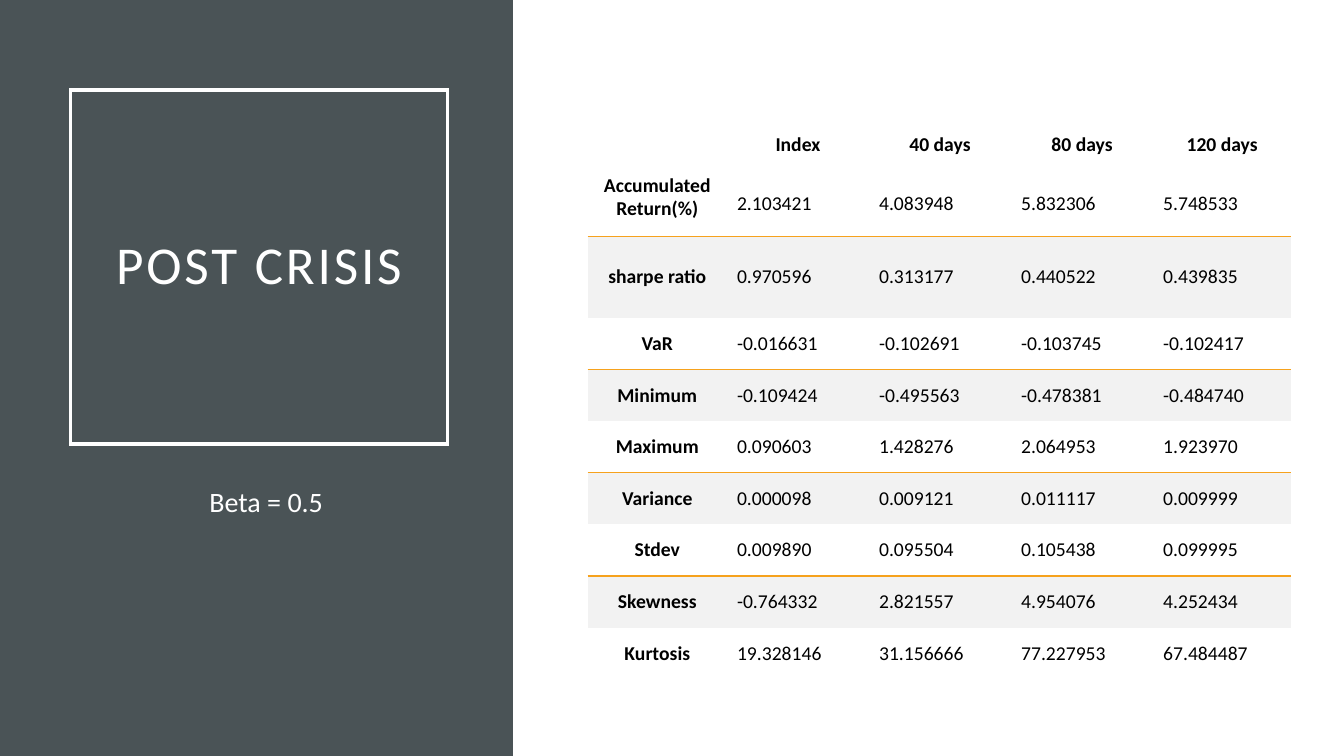
from lxml import etree
from pptx import Presentation
from pptx.dml.color import RGBColor
from pptx.enum.shapes import MSO_SHAPE
from pptx.enum.text import MSO_ANCHOR, MSO_AUTO_SIZE, PP_ALIGN
from pptx.oxml.ns import qn
from pptx.util import Cm, Pt

RECTANGLE = MSO_SHAPE.RECTANGLE
TOP, MIDDLE, BOTTOM = MSO_ANCHOR.TOP, MSO_ANCHOR.MIDDLE, MSO_ANCHOR.BOTTOM
LEFT, CENTER = PP_ALIGN.LEFT, PP_ALIGN.CENTER
NO_AUTOFIT = MSO_AUTO_SIZE.NONE

FONT = "Calibri"
COLORS = {
    "panel": "4A5356",
    "white": "FFFFFF",
    "text": "000000",
    "band": "F2F2F2",
    "rule": "F6A21D",
}
PLAIN_TABLE_STYLE = "{2D5ABB26-0587-4C30-8999-92F81FD0307C}"
TIGHT_MARGINS = {
    "margin_left": Cm(0.18),
    "margin_top": Cm(0.03),
    "margin_right": Cm(0.18),
    "margin_bottom": Cm(0.38),
}

STATISTICS = [
    ["", "Index", "40 days", "80 days", "120 days"],
    ["Accumulated Return(%)", "2.103421", "4.083948", "5.832306", "5.748533"],
    ["sharpe ratio", "0.970596", "0.313177", "0.440522", "0.439835"],
    ["VaR", "-0.016631", "-0.102691", "-0.103745", "-0.102417"],
    ["Minimum", "-0.109424", "-0.495563", "-0.478381", "-0.484740"],
    ["Maximum", "0.090603", "1.428276", "2.064953", "1.923970"],
    ["Variance", "0.000098", "0.009121", "0.011117", "0.009999"],
    ["Stdev", "0.009890", "0.095504", "0.105438", "0.099995"],
    ["Skewness", "-0.764332", "2.821557", "4.954076", "4.252434"],
    ["Kurtosis", "19.328146", "31.156666", "77.227953", "67.484487"],
]
COLUMN_WIDTHS = [3.51, 3.58, 3.58, 3.58, 3.48]
ROW_HEIGHTS = [2.56, 1.3, 2.06] + [1.3] * 7


def color(name):
    return RGBColor.from_string(COLORS[name])


def set_attributes(target, values):
    for name, value in values.items():
        setattr(target, name, value)


def write_text(text_frame, text, size, color_name, alignment, bold=False):
    """Fill the first paragraph and return it."""
    paragraph = text_frame.paragraphs[0]
    paragraph.alignment = alignment
    run = paragraph.add_run()
    run.text = text
    set_attributes(run.font, {"name": FONT, "size": Pt(size), "bold": bold})
    run.font.color.rgb = color(color_name)
    return paragraph


def place(shape, left, top, width, height):
    set_attributes(shape, {"left": Cm(left), "top": Cm(top),
                           "width": Cm(width), "height": Cm(height)})


def add_panel(slide):
    shapes = slide.shapes
    panel = shapes.add_shape(RECTANGLE, 0, 0, Cm(12.93), Cm(19.05))
    panel.shadow.inherit = False
    panel.fill.solid()
    panel.fill.fore_color.rgb = color("panel")
    panel.line.fill.background()
    # Move the panel behind the placeholders
    shapes._spTree.insert(2, panel._element)


def format_title(title):
    place(title, 1.78, 2.27, 9.5, 8.92)
    title.line.color.rgb = color("white")
    title.line.width = Pt(2.5)
    # Square corners for the frame
    outline = title._element.spPr.find(qn("a:ln"))
    etree.SubElement(outline, qn("a:miter"), lim="800000")
    set_attributes(title.text_frame, {
        "margin_left": Cm(0.76), "margin_right": Cm(0.76),
        "margin_top": Cm(0.51), "margin_bottom": Cm(0.51),
        "vertical_anchor": MIDDLE, "auto_size": NO_AUTOFIT, "word_wrap": True,
    })
    paragraph = write_text(title.text_frame, "POST CRISIS", 38, "white", CENTER)
    paragraph.line_spacing = 0.9
    paragraph.runs[0].font._element.set("spc", "200")


def format_body(body):
    place(body, 1.96, 12.09, 9.5, 3.45)
    set_attributes(body.text_frame, {
        "vertical_anchor": TOP, "auto_size": NO_AUTOFIT, "word_wrap": True,
    })
    paragraph = write_text(body.text_frame, "Beta = 0.5", 20, "white", CENTER)
    paragraph.space_before = Pt(10)
    # Plain line without bullet or hanging indent
    properties = paragraph._p.get_or_add_pPr()
    properties.set("marL", "0")
    properties.set("indent", "0")
    etree.SubElement(properties, qn("a:buNone"))


def set_rules(cell, above, below):
    """Set the 1 pt rules above and below; they precede the fill in the XML."""
    properties = cell._tc.get_or_add_tcPr()
    for position, (side, visible) in enumerate((("lnT", above), ("lnB", below))):
        line = etree.Element(qn(f"a:{side}"), w=str(Pt(1)))
        if visible:
            fill = etree.SubElement(line, qn("a:solidFill"))
            etree.SubElement(fill, qn("a:srgbClr"), val=COLORS["rule"])
        else:
            etree.SubElement(line, qn("a:noFill"))
        properties.insert(position, line)


def format_cell(cell, text, row, column):
    is_label = row == 0 or column == 0
    cell.vertical_anchor = BOTTOM if row == 0 else MIDDLE
    if row == 0 or (row == 1 and column == 0):
        set_attributes(cell, TIGHT_MARGINS)
    if text:
        write_text(cell.text_frame, text, 14, "text",
                   CENTER if is_label else LEFT, is_label)
    # Every second row is shaded, with a rule above it
    is_band = row > 0 and row % 2 == 0
    if is_band:
        cell.fill.solid()
        cell.fill.fore_color.rgb = color("band")
    else:
        cell.fill.background()
    is_above_band = row % 2 == 1 and row < len(STATISTICS) - 1
    set_rules(cell, is_band, is_above_band)


def add_statistics_table(slide):
    frame = slide.shapes.add_table(
        len(STATISTICS), len(COLUMN_WIDTHS), Cm(14.81), Cm(1.78),
        Cm(sum(COLUMN_WIDTHS)), Cm(sum(ROW_HEIGHTS)))
    table = frame.table
    set_attributes(table, {"first_row": False, "horz_banding": False})
    table._tbl.tblPr.find(qn("a:tableStyleId")).text = PLAIN_TABLE_STYLE
    for column, width in zip(table.columns, COLUMN_WIDTHS):
        column.width = Cm(width)
    for row, height in zip(table.rows, ROW_HEIGHTS):
        row.height = Cm(height)
    for row, texts in enumerate(STATISTICS):
        for column, text in enumerate(texts):
            format_cell(table.cell(row, column), text, row, column)


def main():
    presentation = Presentation()
    presentation.slide_width = Cm(33.87)
    presentation.slide_height = Cm(19.05)
    slide = presentation.slides.add_slide(presentation.slide_layouts[1])

    # Left side: dark panel, framed title and beta value
    add_panel(slide)
    format_title(slide.shapes.title)
    format_body(slide.placeholders[1])

    # Right side: statistics
    add_statistics_table(slide)

    presentation.save("out.pptx")


if __name__ == "__main__":
    main()
